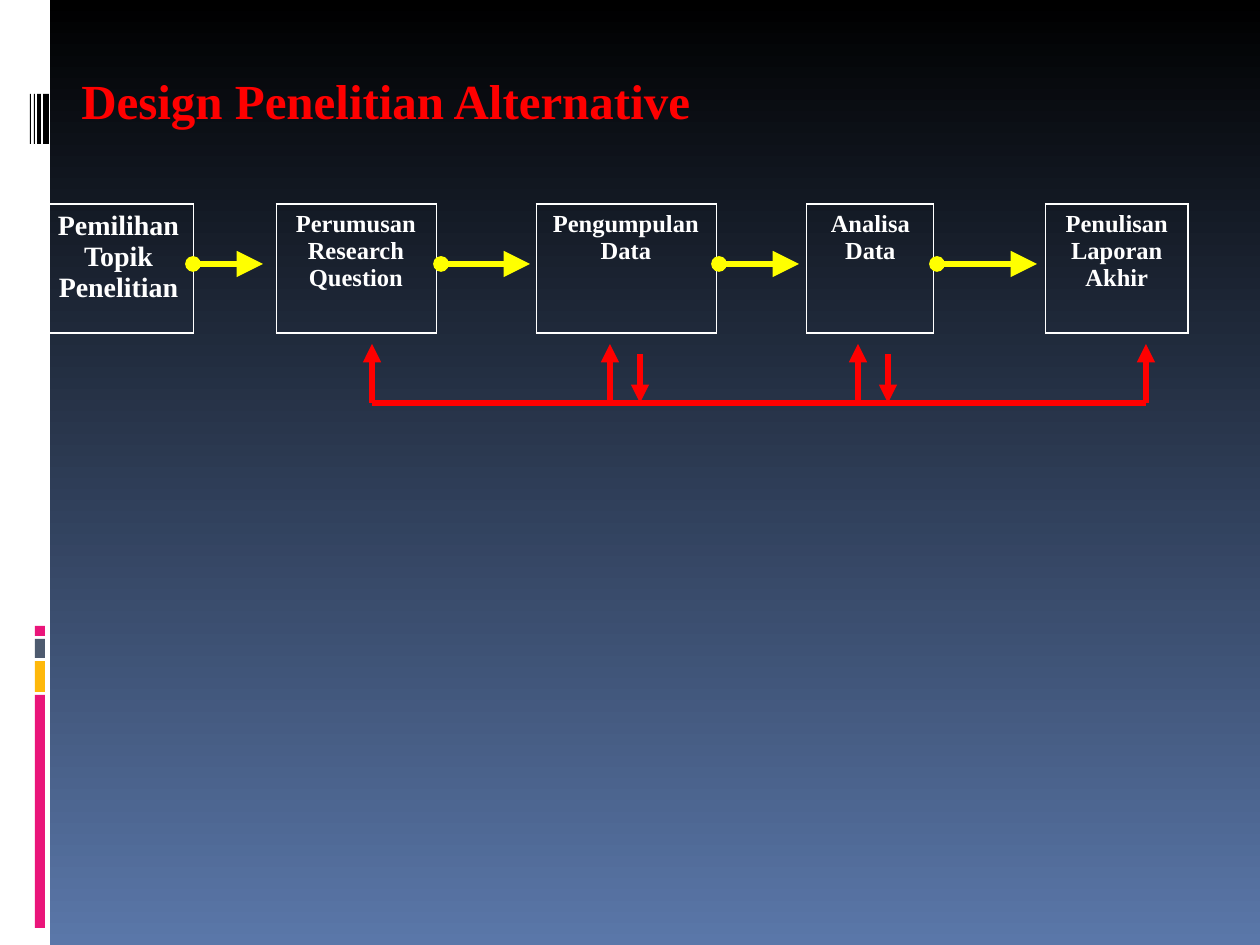
from dataclasses import dataclass
from itertools import accumulate

from lxml import etree
from pptx import Presentation
from pptx import util as u
from pptx.dml.color import RGBColor
from pptx.enum import shapes, text
from pptx.oxml.ns import qn

PX = 914400 / 126


@dataclass(frozen=True)
class Theme:
    font: str = "Times New Roman"
    title_size: int = 28
    first_size: int = 16
    step_size: int = 14
    white: str = "FFFFFF"
    black: str = "000000"
    sky: str = "5A77A9"
    pink: str = "EA157A"
    amber: str = "FEB80A"
    slate: str = "4E5B6F"
    red: str = "FF0000"
    yellow: str = "FFFF00"
    outer_border: float = 1.08
    inner_border: float = 0.45
    flow_line: float = 3
    feedback_line: float = 3.5


THEME = Theme()
STEPS = [
    "Pemilihan Topik Penelitian",
    "Perumusan Research Question",
    "Pengumpulan Data",
    "Analisa Data",
    "Penulisan Laporan Akhir",
]
COLUMNS = [149, 83, 160, 100, 180, 91, 127, 112, 142]


def px(value):
    return u.Emu(round(value * PX))


def color(code):
    return RGBColor.from_string(code)


def write(frame, words, *, size, ink, align=text.PP_ALIGN.LEFT):
    frame.word_wrap = True
    para = frame.paragraphs[0]
    para.alignment = align
    span = para.add_run()
    span.text = words
    span.font.name = THEME.font
    span.font.size = u.Pt(size)
    span.font.bold = True
    span.font.color.rgb = color(ink)


def add_bar(page, left, top, width, height, fill):
    bar = page.shapes.add_shape(
        shapes.MSO_SHAPE.RECTANGLE, px(left), px(top), px(width), px(height))
    bar.shadow.inherit = False
    bar.fill.solid()
    bar.fill.fore_color.rgb = color(fill)
    bar.line.fill.background()


def add_line(page, start, end, *, ink, width, head=None, tail=None, tail_size="med"):
    line = page.shapes.add_connector(
        shapes.MSO_CONNECTOR.STRAIGHT, *map(px, start + end))
    line.line.color.rgb = color(ink)
    line.line.width = u.Pt(width)
    outline = line.line._get_or_add_ln()
    if head:
        etree.SubElement(outline, qn("a:headEnd"), type=head)
    if tail:
        etree.SubElement(outline, qn("a:tailEnd"), type=tail, w=tail_size, len=tail_size)
    etree.SubElement(line._element.spPr, qn("a:effectLst"))


def set_borders(cell, **widths):
    """Draw the sides L, R, T and B in white; a width of 0 hides a side."""
    properties = cell._tc.get_or_add_tcPr()
    for side in "LRTB":
        width = widths[side]
        line = etree.SubElement(properties, qn(f"a:ln{side}"), w=str(u.Pt(width)))
        if width:
            fill = etree.SubElement(line, qn("a:solidFill"))
            etree.SubElement(fill, qn("a:srgbClr"), val=THEME.white)
        else:
            etree.SubElement(line, qn("a:noFill"))


def draw_background(page):
    fill = page.background.fill
    fill.gradient()
    fill.gradient_angle = 270
    for stop, position, code in zip(fill.gradient_stops, (0, 1), (THEME.black, THEME.sky)):
        stop.position = position
        stop.color.rgb = color(code)


def draw_sidebar(page, left, top, width, height):
    add_bar(page, left, top, width, height, THEME.white)
    for y, tall, fill in ((695, 233, THEME.pink), (661, 31, THEME.amber),
                          (639, 19, THEME.slate), (626, 10, THEME.pink)):
        add_bar(page, left + 35, top + y, 10, tall, fill)
    for x, wide in ((43, 6), (37, 4), (34, 1), (30, 1)):
        add_bar(page, left + x, top + 94, wide, 50, THEME.black)


def draw_title(page, left, top, width, height):
    box = page.shapes.add_textbox(px(left), px(top), px(width), px(height))
    box.text_frame.margin_top = px(12)
    write(box.text_frame, "Design Penelitian Alternative",
          size=THEME.title_size, ink=THEME.red)


def draw_steps(page, left, top, height):
    """Place the steps in every other column, with open gaps between them."""
    table = page.shapes.add_table(
        1, len(COLUMNS), px(left), px(top), px(sum(COLUMNS)), px(height)).table
    table.first_row = table.horz_banding = False
    table.rows[0].height = px(height)
    last = len(COLUMNS) - 1
    for index, width in enumerate(COLUMNS):
        table.columns[index].width = px(width)
        cell = table.cell(0, index)
        is_step = index % 2 == 0
        edge = THEME.outer_border if is_step else 0
        set_borders(
            cell,
            L=THEME.outer_border if index == 0 else THEME.inner_border,
            R=THEME.outer_border if index == last else THEME.inner_border,
            T=edge, B=edge)
        cell.fill.background()
        if is_step:
            write(cell.text_frame, STEPS[index // 2],
                  size=THEME.step_size if index else THEME.first_size,
                  ink=THEME.white, align=text.PP_ALIGN.CENTER)


def draw_flow(page, left, middle):
    """Link each step to the next across the gap between them."""
    edges = list(accumulate(COLUMNS, initial=left))
    for gap, (start, end) in enumerate(((0, -13), (5, -6), (3, -8), (3, -9))):
        add_line(page, (edges[2 * gap + 1] + start, middle),
                 (edges[2 * gap + 2] + end, middle),
                 ink=THEME.yellow, width=THEME.flow_line,
                 head="oval", tail="triangle", tail_size="lg")


def draw_feedback(page, left, top, width, height):
    style = dict(ink=THEME.red, width=THEME.feedback_line)
    bottom = top + height
    inner = (left + 238, left + 486)
    add_line(page, (left, bottom), (left + width, bottom), **style)
    for x in (left, *inner, left + width):
        add_line(page, (x, top), (x, bottom), head="triangle", **style)
    for x in inner:
        add_line(page, (x + 30, top + 10), (x + 30, bottom), tail="triangle", **style)


def main():
    deck = Presentation()
    deck.slide_width, deck.slide_height = px(1260), px(945)
    page = deck.slides.add_slide(deck.slide_layouts[6])
    draw_background(page)
    draw_sidebar(page, 0, 0, 50, 945)
    draw_title(page, 69, 59, 1134, 115)
    draw_steps(page, 44, 204, 129)
    draw_flow(page, 44, 264)
    draw_feedback(page, 372, 344, 774, 59)
    deck.save("out.pptx")


if __name__ == "__main__":
    main()
